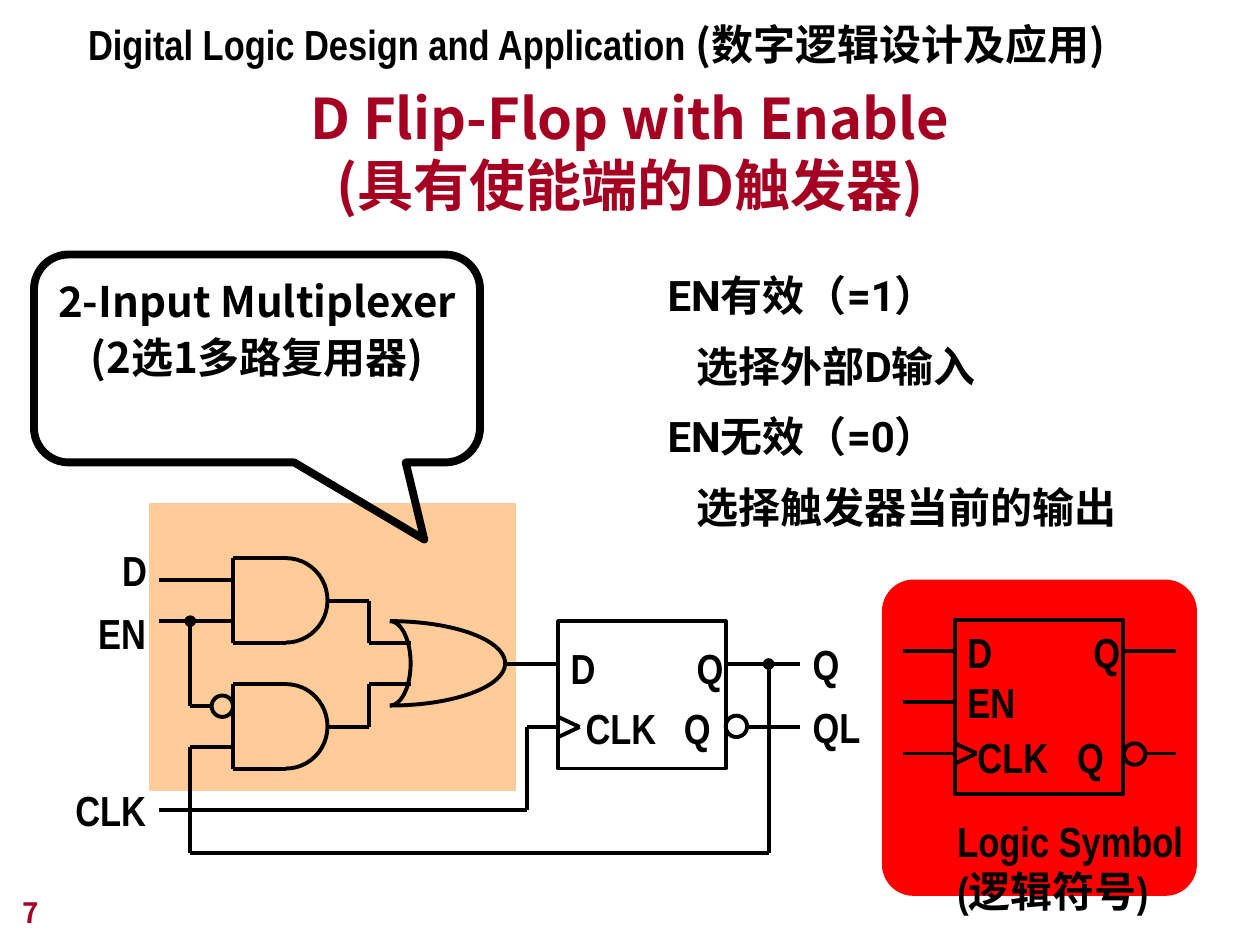
from lxml import etree
from pptx import Presentation
from pptx.dml.color import RGBColor
from pptx.enum.shapes import MSO_CONNECTOR, MSO_SHAPE
from pptx.enum.text import MSO_ANCHOR, PP_ALIGN
from pptx.oxml.ns import qn
from pptx.util import Inches, Pt

STRAIGHT = MSO_CONNECTOR.STRAIGHT
RECTANGLE, ROUNDED = MSO_SHAPE.RECTANGLE, MSO_SHAPE.ROUNDED_RECTANGLE
CALLOUT, ARC, OVAL = MSO_SHAPE.ROUNDED_RECTANGULAR_CALLOUT, MSO_SHAPE.ARC, MSO_SHAPE.OVAL
LEFT, CENTER = PP_ALIGN.LEFT, PP_ALIGN.CENTER
TOP, BOTTOM = MSO_ANCHOR.TOP, MSO_ANCHOR.BOTTOM

COLORS = {"ink": "000000", "crimson": "A50021", "peach": "FFCC99", "red": "FF0000"}
NARROW, JP, SC, ROBOTO = "Arial Narrow", "Noto Sans CJK JP", "Noto Sans CJK SC", "Roboto"

presentation = Presentation()
presentation.slide_width, presentation.slide_height = Inches(10), Inches(7.5)
slide = presentation.slides.add_slide(presentation.slide_layouts[6])
shapes = slide.shapes


def add_figure(kind, box, fill=None, line="ink", width=2.25):
    shape = shapes.add_shape(kind, *map(Inches, box))
    shape.shadow.inherit = False
    if fill:
        shape.fill.solid()
        shape.fill.fore_color.rgb = RGBColor.from_string(COLORS[fill])
    else:
        shape.fill.background()
    if line:
        shape.line.color.rgb = RGBColor.from_string(COLORS[line])
        shape.line.width = Pt(width)
    else:
        shape.line.fill.background()
    return shape


def write(shape, lines, font=NARROW, size=24, color="ink", align=LEFT, anchor=TOP,
          wrap=False, spacings=None, indents=None, tabs=()):
    frame = shape.text_frame
    frame.word_wrap = wrap
    frame.vertical_anchor = anchor
    for index, line in enumerate(lines):
        paragraph = frame.paragraphs[0] if index == 0 else frame.add_paragraph()
        paragraph.text = line
        paragraph.alignment = align
        properties = paragraph._p.get_or_add_pPr()
        if tabs:
            tab_list = etree.SubElement(properties, qn("a:tabLst"))
            for position in tabs:
                etree.SubElement(tab_list, qn("a:tab"), pos=str(Inches(position)), algn="l")
        if spacings:
            paragraph.line_spacing = spacings[index]
        if indents:
            properties.set("marL", str(Inches(indents[index])))
        paragraph.font.name = font
        paragraph.font.size = Pt(size)
        paragraph.font.bold = True
        paragraph.font.color.rgb = RGBColor.from_string(COLORS[color])
    return frame


add_figure(RECTANGLE, (1.19, 4, 2.9, 2.27), "peach", "peach", 0.75)

callout = add_figure(CALLOUT, (0.27, 2.02, 3.54, 1.65), width=4.5)
callout.adjustments[0], callout.adjustments[1] = 0.375, 0.871
write(callout, ["2-Input Multiplexer", "(2选1多路复用器)"], SC, align=CENTER,
      wrap=True, spacings=[1.1, 1.1])

title = shapes.add_textbox(Inches(0.75), Inches(0.6), Inches(8.5), Inches(1.18))
write(title, ["D Flip-Flop with Enable\v(具有使能端的D触发器)"], JP, 32, "crimson",
      CENTER, BOTTOM, True)

panel = add_figure(ROUNDED, (7, 4.6, 2.5, 2.51), "red", None)
panel.adjustments[0] = 0.1

flip_flop = add_figure(RECTANGLE, (4.43, 4.93, 1.33, 1.17))
write(flip_flop, ["D\t\tQ", "\tCLK\tQ"], wrap=True, spacings=[1.3, 1.2],
      tabs=(0.12, 0.9)).margin_right = 0
symbol = add_figure(RECTANGLE, (7.58, 4.92, 1.33, 1.38))
write(symbol, ["D\t\tQ", "EN", "\tCLK\tQ"], wrap=True, spacings=[1, 1, 1.1],
      tabs=(0.08, 0.87)).margin_right = 0

ARCS = [
    (1.94, 4.43, 0.66, 0.67),
    (1.94, 5.43, 0.66, 0.67),
    (2.93, 4.93, 0.33, 0.67),
    (2.18, 4.93, 1.83, 0.67),
]
for box in ARCS:
    arc = add_figure(ARC, box)
    arc.adjustments[0], arc.adjustments[1] = 270 * 0.6, 90 * 0.6

for left, top in [(5.76, 5.68), (1.68, 5.52), (8.92, 5.9)]:
    add_figure(OVAL, (left, top, 0.17, 0.17))

wires = [
    (5.76, 5.27, 6.35, 5.27), (5.93, 5.77, 6.35, 5.77),
    (4.01, 5.27, 4.43, 5.27), (4.18, 5.77, 4.43, 5.77),
    (2.93, 5.1, 3.26, 5.1), (2.93, 5.43, 3.26, 5.43),
    (2.93, 5.1, 2.93, 4.77), (2.93, 5.77, 2.93, 5.43),
    (1.26, 4.6, 1.85, 4.6), (1.26, 4.93, 1.85, 4.93),
    (1.51, 5.93, 1.85, 5.93), (1.51, 5.6, 1.68, 5.6),
    (1.51, 5.93, 1.51, 6.77), (1.51, 6.77, 6.1, 6.77),
    (4.18, 5.77, 4.18, 6.43), (1.26, 6.43, 4.18, 6.43),
    (8.92, 5.17, 9.33, 5.17), (9.08, 5.98, 9.33, 5.98),
]
for top in (4.43, 5.43):
    bottom, middle = top + 0.67, top + 0.34
    wires += [(1.85, top, 2.27, top), (1.85, bottom, 2.27, bottom),
              (1.85, top, 1.85, bottom), (2.6, middle, 2.93, middle)]
for left, middle in [(4.43, 5.77), (7.58, 5.98)]:
    tip = left + 0.17
    wires += [(left, middle - 0.08, tip, middle), (tip, middle, left, middle + 0.08)]
for height in (5.17, 5.57, 5.98):
    wires.append((7.17, height, 7.58, height))
junction_wires = [(1.51, 4.93, 1.51, 5.6), (6.1, 5.27, 6.1, 6.77)]

for wire in wires + junction_wires:
    connector = shapes.add_connector(STRAIGHT, *map(Inches, wire))
    connector.line.color.rgb = RGBColor.from_string(COLORS["ink"])
    connector.line.width = Pt(2.25)
    if wire in junction_wires:
        etree.SubElement(connector.line._get_or_add_ln(), qn("a:headEnd"), type="oval")
    etree.SubElement(connector._element.spPr, qn("a:effectLst"))

LABELS = [
    ("D", 0.87, 4.27, 0.39),
    ("EN", 0.68, 4.77, 0.58),
    ("CLK", 0.5, 6.18, 0.76),
    ("Q", 6.35, 5.02, 0.41),
    ("QL", 6.35, 5.52, 0.58),
]
for text, left, top, width in LABELS:
    label = shapes.add_textbox(Inches(left), Inches(top), Inches(width), Inches(0.5))
    write(label, [text])

enable_notes = shapes.add_textbox(Inches(5.2), Inches(1.93), Inches(3.76), Inches(2.34))
write(enable_notes, ["EN有效（=1）", "选择外部D输入", "EN无效（=0）", "选择触发器当前的输出"],
      ROBOTO, spacings=[1.4] * 4, indents=[0, 0.23, 0, 0.23])

caption = shapes.add_textbox(Inches(7.5), Inches(6.42), Inches(1.99), Inches(0.9))
write(caption, ["Logic Symbol", "(逻辑符号)"])

header = shapes.add_textbox(Inches(0.6), Inches(0.1), Inches(8.41), Inches(0.5))
header_frame = write(header, ["Digital Logic Design and Application "], wrap=True)
chinese_run = header_frame.paragraphs[0].add_run()
chinese_run.text = "(数字逻辑设计及应用)"
chinese_run.font.name = JP

page_number = shapes.add_textbox(Inches(0.08), Inches(6.92), Inches(2.08), Inches(0.5))
write(page_number, ["7"], JP, 16, "crimson", anchor=BOTTOM, wrap=True)

presentation.save("out.pptx")
